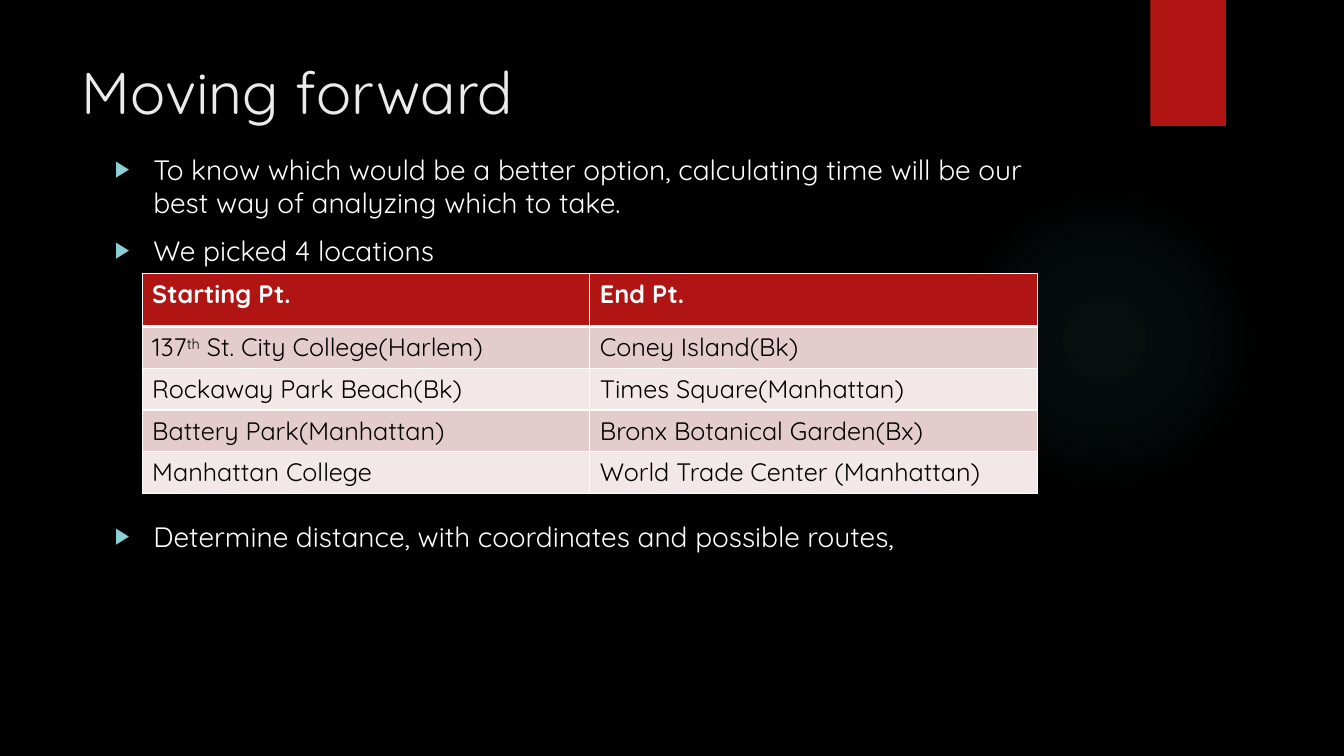
from dataclasses import dataclass

from lxml import etree
from pptx import Presentation
from pptx import util as u
from pptx.dml.color import RGBColor
from pptx.enum import shapes, text
from pptx.oxml import parse_xml
from pptx.oxml.ns import nsdecls, qn


@dataclass(frozen=True)
class Theme:
    font: str = "Quicksand"
    background: str = "000000"
    accent: str = "B01513"
    glow: str = "50B9C1"
    bullet: str = "8AD0D6"
    title: str = "EBEBEB"
    light: str = "FFFFFF"
    dark: str = "000000"
    bands: tuple = ("E4CCCC", "F2E8E7")
    title_size: int = 42
    body_size: int = 20
    table_size: int = 18


def apply(target, values):
    for name, value in values.items():
        setattr(target, name, value)


class SlideBuilder:
    def __init__(self, page, theme):
        self.page, self.theme = page, theme
        self.back_count = 0

    def paint(self, fill, color):
        fill.solid()
        fill.fore_color.rgb = RGBColor.from_string(color)

    def background(self):
        self.paint(self.page.background.fill, self.theme.background)

    def add_span(self, para, words, size, color, bold=False):
        span = para.add_run()
        span.text = words
        apply(span.font, dict(name=self.theme.font, size=u.Pt(size), bold=bold))
        span.font.color.rgb = RGBColor.from_string(color)
        return span

    def place(self, box, left, top, width, height):
        apply(box, dict(left=u.Inches(left), top=u.Inches(top),
                        width=u.Inches(width), height=u.Inches(height)))
        apply(box.text_frame, dict(word_wrap=True, auto_size=text.MSO_AUTO_SIZE.NONE,
                                   vertical_anchor=text.MSO_ANCHOR.TOP))

    def decoration(self, kind, left, top, width, height, color):
        """Add a plain shape behind the placeholders."""
        shape = self.page.shapes.add_shape(
            kind, *map(u.Inches, (left, top, width, height)))
        shape.shadow.inherit = False
        shape.line.fill.background()
        self.paint(shape.fill, color)
        self.page.shapes._spTree.insert(2 + self.back_count, shape._element)
        self.back_count += 1
        return shape

    def glow(self, left, top, size, stops):
        color = self.theme.glow
        shape = self.decoration(shapes.MSO_SHAPE.OVAL, left, top, size, size, color)
        marks = "".join(
            f'<a:gs pos="{position * 1000}"><a:srgbClr val="{color}">'
            f'<a:alpha val="{alpha * 1000}"/></a:srgbClr></a:gs>'
            for position, alpha in stops)
        gradient = parse_xml(
            f'<a:gradFill {nsdecls("a")}><a:gsLst>{marks}</a:gsLst><a:path path="circle">'
            '<a:fillToRect l="50000" t="50000" r="50000" b="50000"/></a:path></a:gradFill>')
        properties = shape._element.spPr
        properties.replace(properties.find(qn("a:solidFill")), gradient)

    def title(self, words, *place):
        box = self.page.shapes.title
        self.place(box, *place)
        para = box.text_frame.paragraphs[0]
        para.alignment = text.PP_ALIGN.LEFT
        self.add_span(para, words, self.theme.title_size, self.theme.title)

    def bullets(self, items, *place):
        """Items are (words, points of space before)."""
        box = self.page.placeholders[1]
        self.place(box, *place)
        frame = box.text_frame
        for index, (words, gap) in enumerate(items):
            para = frame.add_paragraph() if index else frame.paragraphs[0]
            apply(para, dict(space_before=u.Pt(gap), alignment=text.PP_ALIGN.LEFT))
            settings = para._p.get_or_add_pPr()
            indent = u.Inches(0.38)
            settings.set("marL", str(indent))
            settings.set("indent", str(-indent))
            color = etree.SubElement(settings, qn("a:buClr"))
            etree.SubElement(color, qn("a:srgbClr"), val=self.theme.bullet)
            etree.SubElement(settings, qn("a:buSzPct"), val="80000")
            etree.SubElement(settings, qn("a:buFont"), typeface="Arial")
            etree.SubElement(settings, qn("a:buChar"), char="▶")
            self.add_span(para, words, self.theme.body_size, self.theme.light)

    def borders(self, cell, widths):
        settings = cell._tc.get_or_add_tcPr()
        for index, (side, width) in enumerate(widths.items()):
            settings.insert(index, parse_xml(
                f'<a:ln{side} {nsdecls("a")} w="{u.Pt(width)}"><a:solidFill>'
                f'<a:srgbClr val="{self.theme.light}"/></a:solidFill></a:ln{side}>'))

    def table(self, rows, left, top, width, heights):
        """Each cell is a list of pieces; every second piece is superscript."""
        theme = self.theme
        grid = self.page.shapes.add_table(
            len(rows), len(rows[0]),
            *map(u.Inches, (left, top, width, sum(heights)))).table
        for row, (cells, height) in enumerate(zip(rows, heights)):
            grid.rows[row].height = u.Inches(height)
            header = row == 0
            for column, pieces in enumerate(cells):
                cell = grid.cell(row, column)
                self.paint(cell.fill, theme.accent if header else theme.bands[(row - 1) % 2])
                self.borders(cell, dict(L=1, R=1, T=3 if row == 1 else 1, B=3 if header else 1))
                para = cell.text_frame.paragraphs[0]
                for index, piece in enumerate(pieces):
                    span = self.add_span(para, piece, theme.table_size,
                                         theme.light if header else theme.dark, header)
                    if index % 2:
                        span.font._element.set("baseline", "30000")


def main():
    deck = Presentation()
    apply(deck, dict(slide_width=u.Inches(13.33), slide_height=u.Inches(7.5)))
    theme = Theme()
    slide = SlideBuilder(deck.slides.add_slide(deck.slide_layouts[1]), theme)

    # Backdrop
    slide.background()
    slide.glow(9.41, 1.83, 3.08, [(0, 7), (36, 6), (69, 0)])
    slide.decoration(shapes.MSO_SHAPE.RECTANGLE, 11.41, 0, 0.75, 1.25, theme.accent)

    # Title and list, with room for the table before the last item
    slide.title("Moving forward", 0.71, 0.5, 10.29, 1.53)
    slide.bullets([
        ("To know which would be a better option, calculating time will be our "
         "best way of analyzing which to take.", 0),
        ("We picked 4 locations", 10),
        ("Determine distance, with coordinates and possible routes,", 180),
    ], 1.04, 1.46, 9.78, 5.19)

    # Routes
    slide.table([
        (["Starting Pt."], ["End Pt."]),
        (["137", "th", " St. City College(Harlem)"], ["Coney Island(Bk)"]),
        (["Rockaway Park Beach(Bk)"], ["Times Square(Manhattan)"]),
        (["Battery Park(Manhattan)"], ["Bronx Botanical Garden(Bx)"]),
        (["Manhattan College"], ["World Trade Center (Manhattan)"]),
    ], 1.41, 2.71, 8.88, [0.53] + [0.41] * 4)

    deck.save("out.pptx")


if __name__ == "__main__":
    main()
